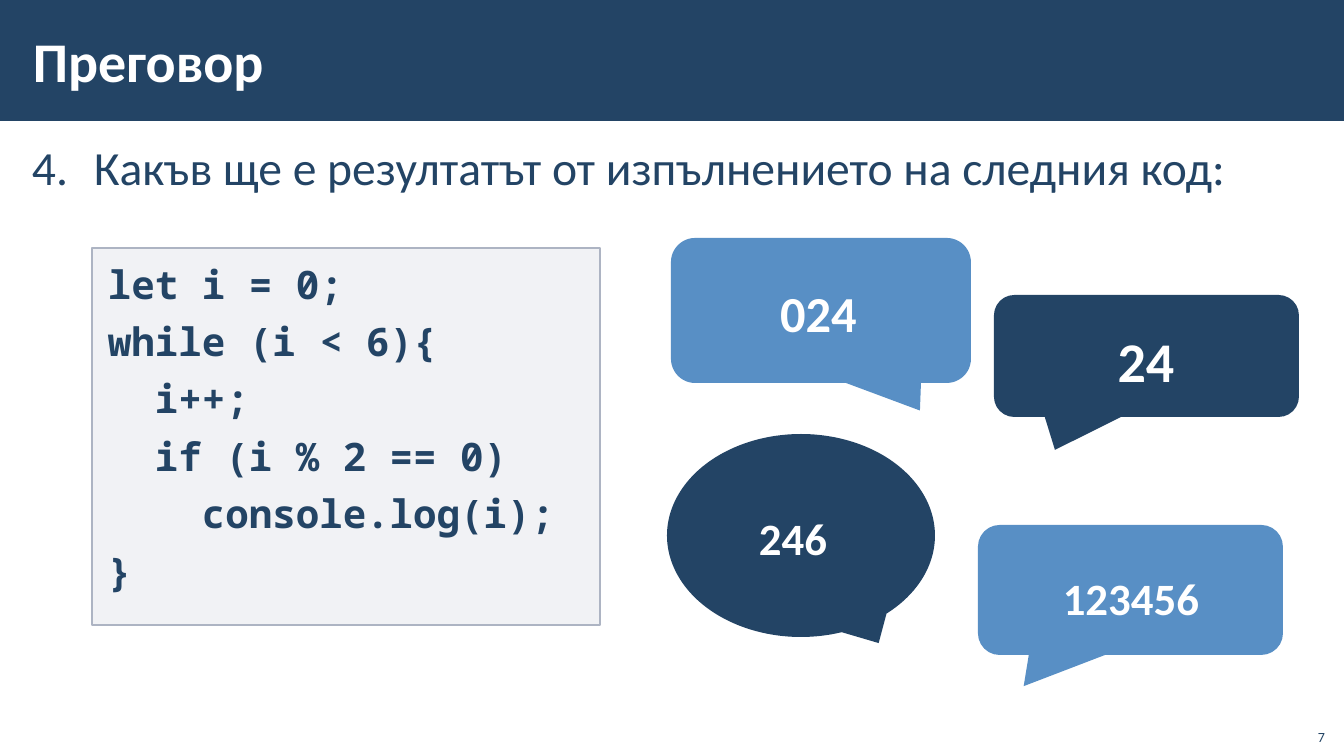
import pptx
import pptx.util
import pptx.dml.color
import pptx.enum.shapes
import pptx.enum.text
import pptx.oxml.ns
import lxml.etree

Kind = pptx.enum.shapes.MSO_SHAPE
Align = pptx.enum.text.PP_ALIGN
Anchor = pptx.enum.text.MSO_ANCHOR
qn = pptx.oxml.ns.qn

NAVY, BLUE, WHITE = "234465", "588FC5", "FFFFFF"
GREY, EDGE = "A3ABBC", "ADB4C3"

CODE = """let i = 0;
while (i < 6){
  i++;
  if (i % 2 == 0)
    console.log(i);
}"""

ROUND, OVAL = Kind.ROUNDED_RECTANGULAR_CALLOUT, Kind.OVAL_CALLOUT
# kind, box, tail, fill, answer, text box, size, line spacing, indent
BUBBLES = [
    (OVAL, (667, 434, 268, 203), (0.29, 0.53), NAVY,
     "246", (603, 499, 330, 79), 32, 1, 50),
    (ROUND, (994, 295, 305, 122), (-0.3, 0.77), NAVY,
     "24", (995, 308, 302, 95), 40, 1.1, 0),
    (ROUND, (978, 525, 305, 130), (-0.35, 0.74), BLUE,
     "123456", (976, 553, 310, 81), 32, 1.1, 0),
    (ROUND, (671, 238, 300, 145), (0.33, 0.69), BLUE,
     "024", (704, 264, 229, 88), 36, 1.1, 0),
]


def px(n):
    return pptx.util.Emu(round(n * 914400 / 100.8))


def color(text):
    return pptx.dml.color.RGBColor.from_string(text)


class Deck:
    font = "Calibri"
    mono = "Noto Sans Mono"

    def __init__(self):
        self.prs = pptx.Presentation()
        self.prs.slide_width, self.prs.slide_height = px(1344), px(756)
        self.slide = self.prs.slides.add_slide(self.prs.slide_layouts[1])
        for spare in list(self.slide.placeholders)[2:]:
            spare.element.getparent().remove(spare.element)

    def place(self, shape, box):
        shape.left, shape.top, shape.width, shape.height = map(px, box)

    def label(self, shape, text, size, ink=NAVY, bold=False, font=None,
              align=Align.LEFT, anchor=Anchor.TOP, inset=(16, 12),
              lead=1, before=0, after=0, left=0, hang=0, start=None):
        """Fill a shape with one paragraph per line; start numbers them."""
        frame = shape.text_frame
        frame.text = text
        frame.word_wrap = True
        frame.auto_size = pptx.enum.text.MSO_AUTO_SIZE.NONE
        frame.vertical_anchor = anchor
        frame.margin_left = frame.margin_right = px(inset[0])
        frame.margin_top = frame.margin_bottom = px(inset[1])
        for para in frame.paragraphs:
            para.alignment = align
            para.line_spacing = float(lead)
            para.space_before = pptx.util.Pt(before)
            para.space_after = pptx.util.Pt(after)
            props = para._p.get_or_add_pPr()
            props.set("marL", str(px(left)))
            props.set("indent", str(-px(hang)))
            if start:
                lxml.etree.SubElement(props, qn("a:buAutoNum"),
                                      type="arabicPeriod", startAt=str(start))
            para.font.name = font or self.font
            para.font.size = pptx.util.Pt(size)
            para.font.bold = bold
            para.font.color.rgb = color(ink)

    def shape(self, kind, box, fill, line=None, alpha=None):
        item = self.slide.shapes.add_shape(kind, *map(px, box))
        item.shadow.inherit = False
        item.fill.solid()
        item.fill.fore_color.rgb = color(fill)
        if alpha:
            tint = item.element.spPr.find(qn("a:solidFill"))[0]
            lxml.etree.SubElement(tint, qn("a:alpha"), val=str(alpha * 1000))
        if line:
            item.line.color.rgb = color(line)
            item.line.width = pptx.util.Pt(1)
        else:
            item.line.fill.background()
        return item

    def text(self, box, text, size, **style):
        item = self.slide.shapes.add_textbox(*map(px, box))
        self.label(item, text, size, **style)

    def title(self, text):
        band = self.shape(Kind.RECTANGLE, (0, 0, 1344, 121), NAVY)
        self.slide.shapes._spTree.insert(2, band.element)
        item = self.slide.shapes.title
        self.place(item, (21, 11, 1071, 98))
        self.label(item, text, 40, ink=WHITE, bold=True,
                   anchor=Anchor.MIDDLE, inset=(12, 4))

    def body(self, text, start):
        item = self.slide.placeholders[1]
        self.place(item, (20, 131, 1301, 572))
        self.label(item, text, 34, inset=(12, 4), lead=1.05, before=6,
                   after=6, left=62, hang=62, start=start)

    def code(self, box, text):
        item = self.shape(Kind.RECTANGLE, box, GREY, line=EDGE, alpha=15)
        self.label(item, text, 28, bold=True, font=self.mono, after=7.4)

    def bubble(self, kind, box, tail, fill, text, spot, size, lead, left):
        item = self.shape(kind, box, fill)
        for i, value in enumerate(tail):
            item.adjustments[i] = value
        self.text(spot, text, size, ink=WHITE, bold=True,
                  align=Align.CENTER, lead=lead, left=left)


def main():
    deck = Deck()
    deck.title("Преговор")
    deck.body("Какъв ще е резултатът от изпълнението на следния код:", 4)
    deck.code((92, 248, 508, 377), CODE)
    for bubble in BUBBLES:
        deck.bubble(*bubble)
    deck.text((1295, 718, 40, 32), "7", 10, align=Align.RIGHT,
              anchor=Anchor.BOTTOM, inset=(10, 5))
    deck.prs.save("out.pptx")


if __name__ == "__main__":
    main()
